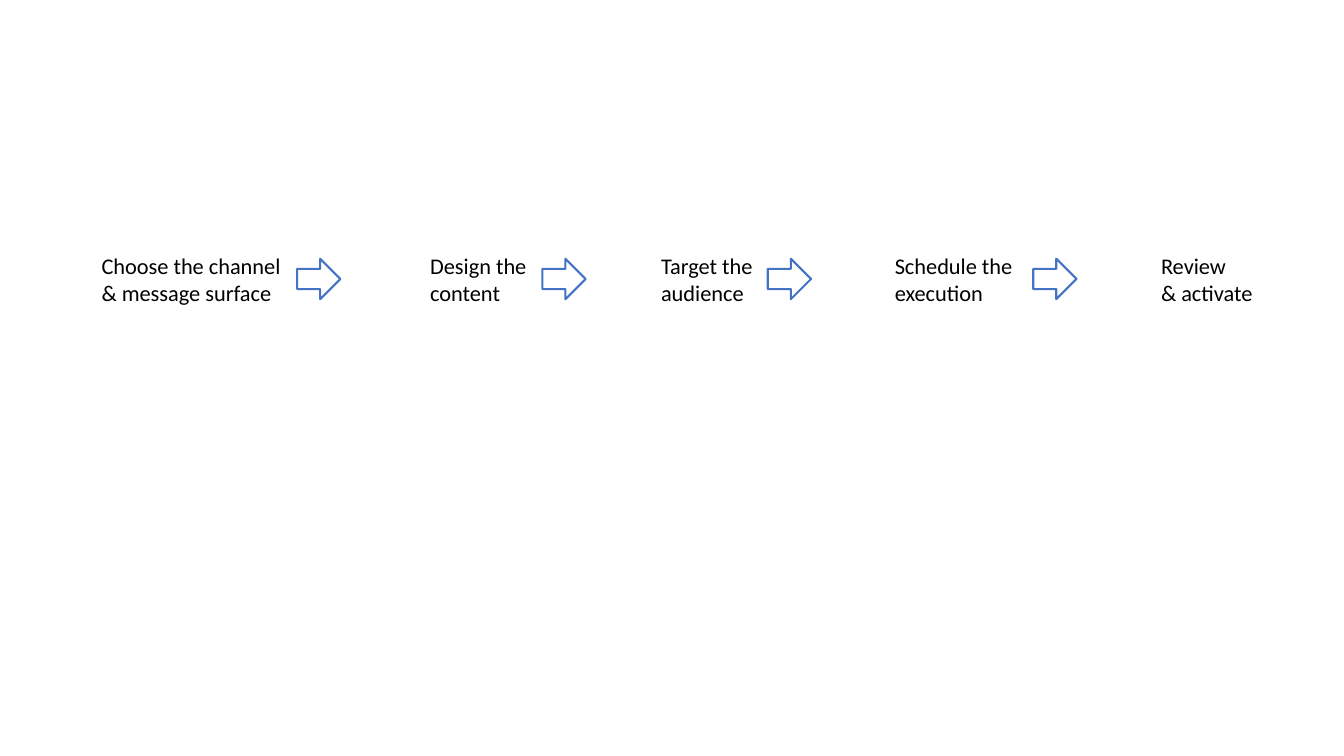
"""Build a slide with a row of five campaign steps joined by arrows."""
from pptx import Presentation
from pptx import util as u
from pptx.dml.color import RGBColor
from pptx.enum import shapes, text

# Step text, left edge and width, and left edge of the arrow after it (cm)
STEPS = [
    ("Choose the channel & message surface", 0, 5.28, 5.18),
    ("Design the content", 8.28, 3.51, 11.36),
    ("Target the audience", 14.1, 3.28, 17.04),
    ("Schedule the execution", 19.99, 3.53, 23.73),
    ("Review\v& activate", 26.7, 3, None),
]


def rgb(value):
    return RGBColor.from_string(value)


def add_text(s, label, x, y, w, h, size=16, font="Calibri", color="000000"):
    sp = s.shapes.add_textbox(u.Cm(x), u.Cm(y), u.Cm(w), u.Cm(h))
    tf = sp.text_frame
    tf.word_wrap = True
    tf.auto_size = text.MSO_AUTO_SIZE.SHAPE_TO_FIT_TEXT
    p = tf.paragraphs[0]
    p.text = label
    for r in p.runs:
        r.font.size = u.Pt(size)
        r.font.name = font
        r.font.color.rgb = rgb(color)


def add_arrow(s, x, y, w=1.09, h=1.02, color="4472C4"):
    sp = s.shapes.add_shape(shapes.MSO_SHAPE.RIGHT_ARROW,
                            u.Cm(x), u.Cm(y), u.Cm(w), u.Cm(h))
    sp.shadow.inherit = False
    sp.fill.background()
    sp.line.color.rgb = rgb(color)
    sp.line.width = u.Pt(1.5)


def add_steps(s, x, y, h):
    for label, left, width, arrow in STEPS:
        add_text(s, label, x + left, y, width, h)
        if arrow is not None:
            add_arrow(s, x + arrow, y + 0.3)


def main():
    prs = Presentation()
    prs.slide_width, prs.slide_height = u.Cm(33.87), u.Cm(19.05)
    s = prs.slides.add_slide(prs.slide_layouts[6])
    add_steps(s, x=2.31, y=6.22, h=1.63)
    prs.save("out.pptx")


if __name__ == "__main__":
    main()
